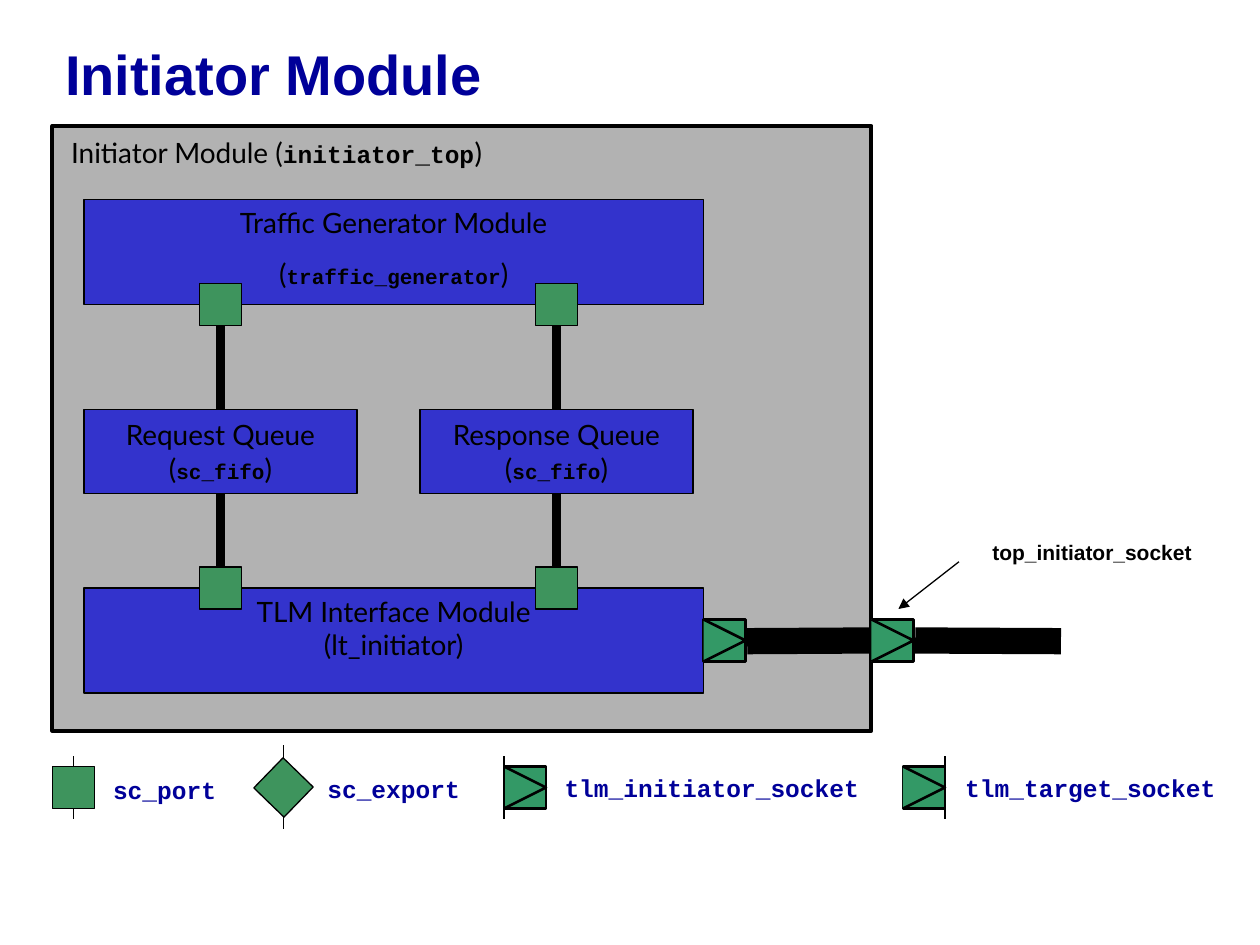
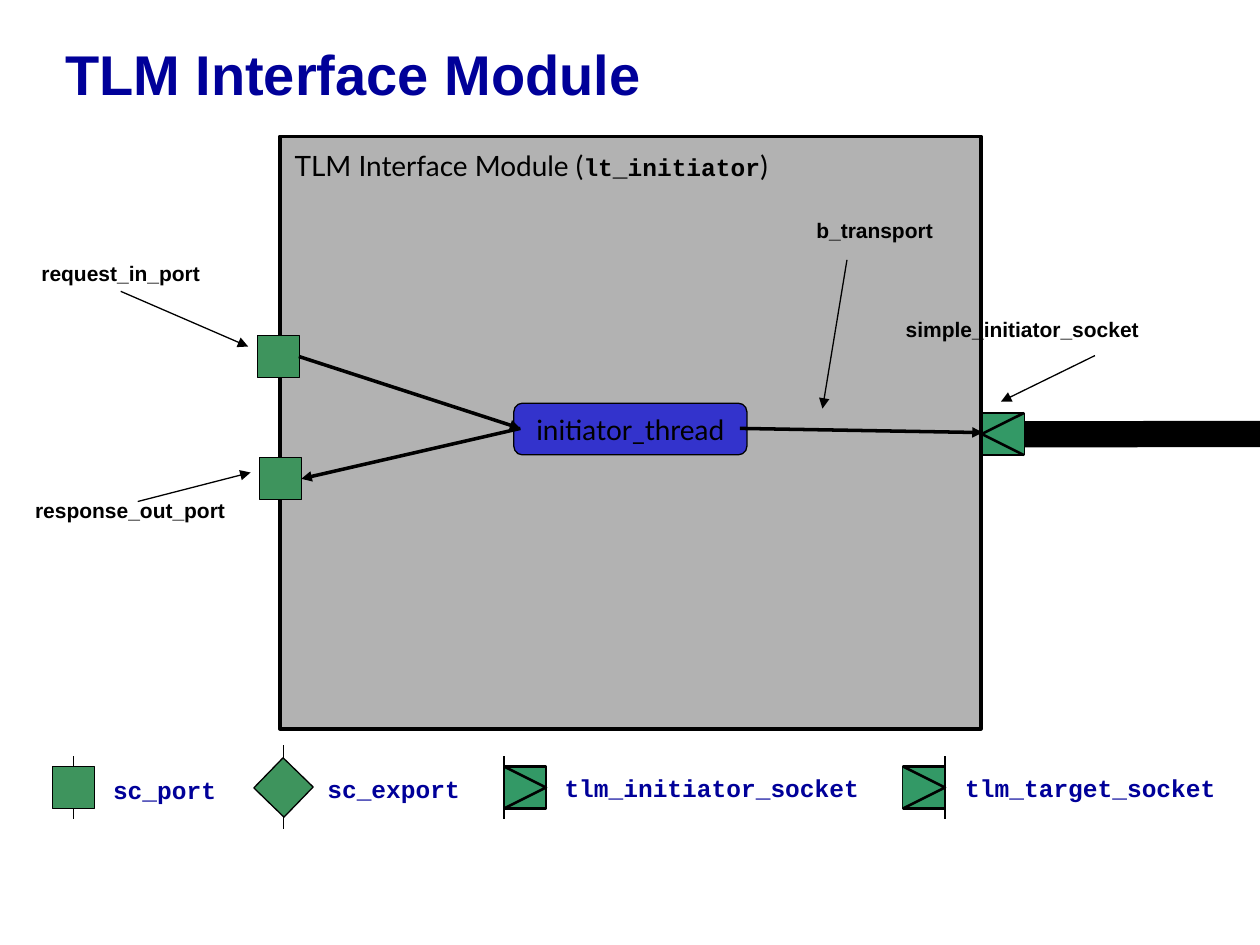
from pptx import Presentation
from pptx.dml.color import RGBColor
from pptx.enum.shapes import MSO_CONNECTOR, MSO_SHAPE
from pptx.enum.text import MSO_ANCHOR, MSO_AUTO_SIZE, PP_ALIGN
from pptx.oxml.ns import qn
from pptx.util import Pt
from lxml.etree import SubElement

HUES = {
    "navy": "000099",
    "ink": "000000",
    "panel": "B2B2B2",
    "block": "3333CC",
    "port": "3E945D",
    "socket": "339966",
}
FONTS = {
    "title": ("Arial", 32, True),
    "note": ("Arial", 12, True),
    "body": ("Lato", 16, False),
    "code": ("Courier New", 14, True),
    "small": ("Courier New", 12, True),
}
SIDE = 24


class Deck:
    def __init__(self):
        self.file = Presentation()
        self.file.slide_width = Pt(720)
        self.file.slide_height = Pt(540)

    def hue(self, name):
        return RGBColor.from_string(HUES[name])

    def style(self, font, kind, hue="ink"):
        font.name, size, font.bold = FONTS[kind]
        font.size = Pt(size)
        font.color.rgb = self.hue(hue)

    def page(self, title):
        self.slide = self.file.slides.add_slide(self.file.slide_layouts[5])
        self.shapes = self.slide.shapes
        head = self.shapes.title
        head.left, head.top, head.width, head.height = Pt(30), Pt(0), Pt(684), Pt(90)
        frame = head.text_frame
        frame.text = title
        frame.auto_size = MSO_AUTO_SIZE.NONE
        frame.vertical_anchor = MSO_ANCHOR.MIDDLE
        para = frame.paragraphs[0]
        para.alignment = PP_ALIGN.LEFT
        para.line_spacing = 0.85
        self.style(para.font, "title", "navy")

    def paint(self, shape, fill, width):
        shape.shadow.inherit = False
        shape.fill.solid()
        shape.fill.fore_color.rgb = self.hue(fill)
        shape.line.color.rgb = self.hue("ink")
        shape.line.width = Pt(width)

    def box(self, x, y, w, h, fill, width=0.75, form=MSO_SHAPE.RECTANGLE):
        shape = self.shapes.add_shape(form, Pt(x), Pt(y), Pt(w), Pt(h))
        self.paint(shape, fill, width)
        return shape

    def words(self, para, runs, hue="ink"):
        if len(runs) == 1:
            para.text, kind = runs[0]
            self.style(para.font, kind, hue)
            return
        for text, kind in runs:
            run = para.add_run()
            run.text = text
            self.style(run.font, kind, hue)

    def label(self, x, y, w, *runs, hue="ink"):
        frame = self.shapes.add_textbox(Pt(x), Pt(y), Pt(w), Pt(24)).text_frame
        frame.word_wrap = True
        para = frame.paragraphs[0]
        self.words(para, runs, hue)
        return para

    def block(self, x, y, w, h, *lines, middle=True, gap=0, form=MSO_SHAPE.RECTANGLE):
        frame = self.box(x, y, w, h, "block", form=form).text_frame
        frame.word_wrap = False
        frame.vertical_anchor = MSO_ANCHOR.MIDDLE if middle else MSO_ANCHOR.TOP
        for i, runs in enumerate(lines):
            para = frame.add_paragraph() if i else frame.paragraphs[0]
            para.alignment = PP_ALIGN.CENTER
            para.space_before = Pt(gap if i else 0)
            self.words(para, runs)

    def line(self, x1, y1, x2, y2, width=0.75, arrow=False):
        wire = self.shapes.add_connector(
            MSO_CONNECTOR.STRAIGHT, Pt(x1), Pt(y1), Pt(x2), Pt(y2))
        wire.line.color.rgb = self.hue("ink")
        wire.line.width = Pt(width)
        props = wire.element.spPr
        if arrow:
            SubElement(props.find(qn("a:ln")), qn("a:tailEnd"), type="triangle")
        SubElement(props, qn("a:effectLst"))

    def pin(self, x, y, reach=6):
        self.line(x, y - reach, x, y + SIDE + reach)

    def port(self, x, y, pin=False, turn=0):
        if pin:
            self.pin(x + SIDE / 2, y, 12 if turn else 6)
        self.box(x, y, SIDE, SIDE, "port").rotation = turn

    def socket(self, x, y, flip=False):
        self.box(x, y, SIDE, SIDE, "socket", 1.5)
        base, tip = (x + SIDE, x) if flip else (x, x + SIDE)
        pen = self.shapes.build_freeform(Pt(base), Pt(y))
        pen.add_line_segments(
            [(Pt(tip), Pt(y + SIDE / 2)), (Pt(base), Pt(y + SIDE))], close=False)
        self.paint(pen.convert_to_shape(), "socket", 1.5)

    def legend(self):
        y = 438
        self.port(30, y, pin=True)
        self.port(150, y, pin=True, turn=44.1)
        for x, edge in ((288, 288), (516, 540)):
            self.socket(x, y)
            self.pin(edge, y)
        for x, top, w, text in ((57.5, 439.5, 90, "sc_port"),
                                (180, 438.8, 105, "sc_export"),
                                (315.5, 438, 195, "tlm_initiator_socket"),
                                (544.5, 438, 172, "tlm_target_socket")):
            self.label(x, top, w, (text, "code"), hue="navy")

    def panel(self, x, y, w, h):
        self.box(x, y, w, h, "panel", 2.25)

    def note(self, x, y, text, arrow):
        self.label(x, y, 160, (text, "note"))
        self.line(*arrow, arrow=True)


def coded(text, kind):
    return ("(", "body"), (text, kind), (")", "body")


def top(deck):
    deck.page("Initiator Module")
    deck.legend()
    deck.panel(30, 72, 468, 345.6)
    para = deck.label(33.6, 77.8, 416, ("Initiator Module (", "body"),
                      ("initiator_top", "code"), (")", "body"))
    para.line_spacing = 0.8
    para.space_before = Pt(10)
    deck.line(427, 366.4, 497.5, 366, 15)
    deck.line(523, 366, 606.3, 366.4, 15)
    deck.block(48, 336, 354, 60, [("TLM Interface Module", "body")],
               [("(lt_initiator)", "body")], middle=False)
    deck.block(48, 114, 354, 60, [("Traffic Generator Module", "body")],
               coded("traffic_generator", "small"), middle=False, gap=9.6)
    for x in (402, 498):
        deck.socket(x, 354)
    for x, name in ((48, "Request Queue"), (240, "Response Queue")):
        mid = x + 78
        deck.line(mid, 186, mid, 234, 5)
        deck.line(mid, 282, mid, 324, 5)
        deck.block(x, 234, 156, 48, [(name, "body")], coded("sc_fifo", "small"))
        for y in (162, 324):
            deck.port(mid - SIDE / 2, y)
    deck.note(560, 304.5, "top_initiator_socket", (548, 321, 513.4, 348))


def inner(deck):
    deck.page("TLM Interface Module")
    deck.legend()
    deck.panel(160, 78, 400.5, 338.4)
    para = deck.label(161.3, 81.4, 328, ("TLM Interface Module (", "body"),
                      ("lt_initiator", "code"), (")", "body"))
    para.space_before = Pt(10)
    deck.line(720, 248, 579.6, 248.2, 15)
    deck.socket(561, 236, flip=True)
    deck.block(293.6, 230.4, 133.2, 29.5, [("initiator_thread", "body")],
               form=MSO_SHAPE.ROUNDED_RECTANGLE)
    deck.line(422.8, 244.8, 561.6, 247.2, 2, arrow=True)
    deck.port(147, 191.7, pin=True)
    deck.port(148.3, 261.5, pin=True)
    deck.line(170.8, 203.7, 297.4, 244.8, 2, arrow=True)
    deck.line(297.4, 244.8, 172.2, 273.6, 2, arrow=True)
    for x, y, text, arrow in (
            (459.4, 121, "b_transport", (484, 148.5, 470, 233.5)),
            (16.6, 145.4, "request_in_port", (69, 166.5, 141.8, 198)),
            (13, 280.8, "response_out_port", (78.7, 286.6, 143.2, 270)),
            (510.5, 177.1, "simple_initiator_socket", (625.7, 203.2, 572, 229.5))):
        deck.note(x, y, text, arrow)


def main():
    deck = Deck()
    top(deck)
    inner(deck)
    deck.file.save("out.pptx")


if __name__ == "__main__":
    main()
